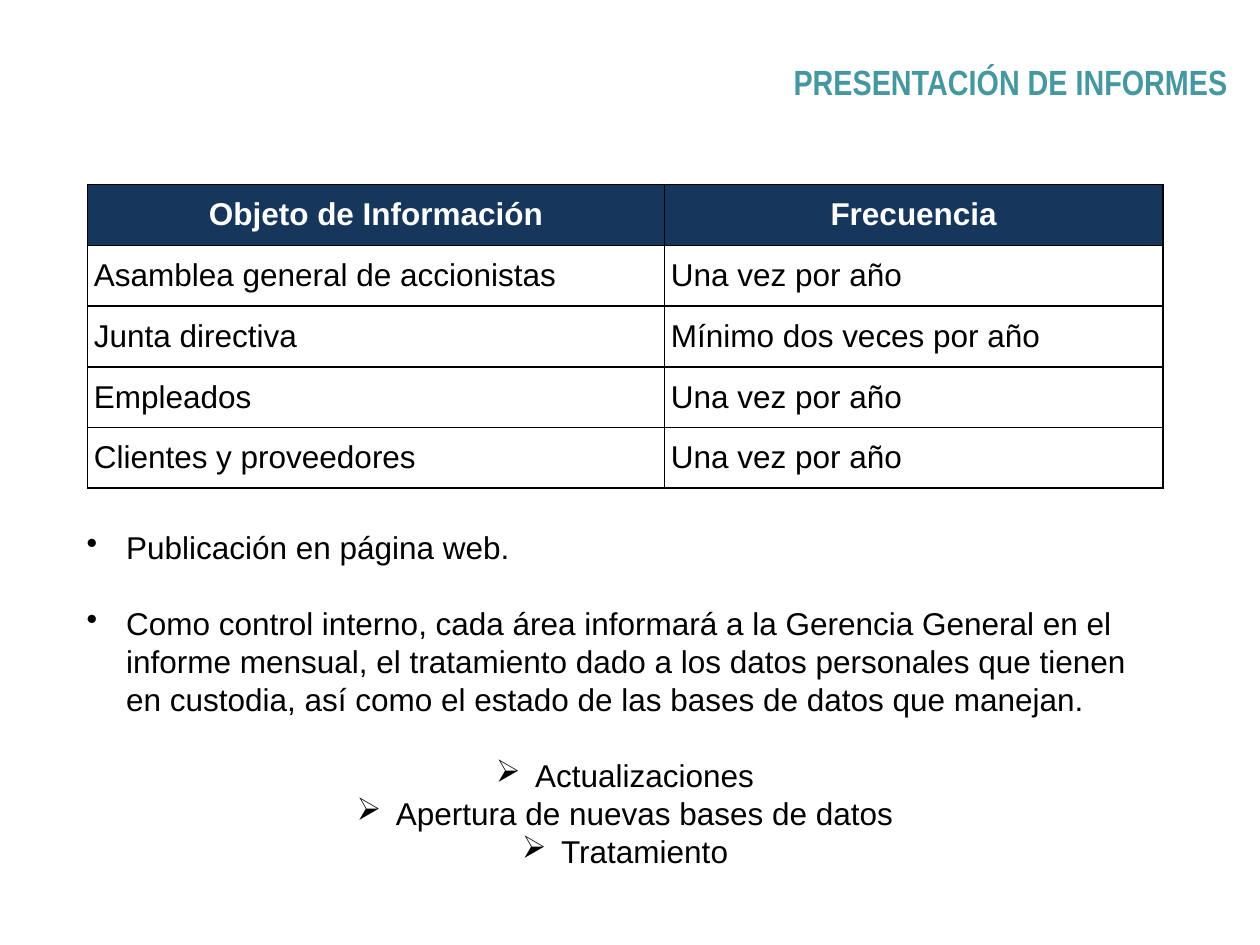
from dataclasses import dataclass

from lxml.etree import SubElement
from pptx import Presentation
from pptx.dml.color import RGBColor
from pptx.enum.text import MSO_ANCHOR, PP_ALIGN
from pptx.oxml.ns import qn
from pptx.slide import Slide
from pptx.table import _Cell
from pptx.text.text import Font, _Paragraph
from pptx.util import Pt


@dataclass(frozen=True)
class Theme:
    heading_font: str = "Arial Narrow"
    body_font: str = "Arial"
    heading_size: float = 20
    body_size: float = 18
    line_pitch: float = 21.7
    teal: str = "4597A0"
    navy: str = "16365C"
    white: str = "FFFFFF"
    black: str = "000000"


@dataclass(frozen=True)
class Bullet:
    text: str
    mark: str = "•"
    align: PP_ALIGN = PP_ALIGN.LEFT
    opens_group: bool = False


THEME = Theme()
HEADING = "PRESENTACIÓN DE INFORMES"
REPORTS = [
    ("Objeto de Información", "Frecuencia"),
    ("Asamblea general de accionistas", "Una vez por año"),
    ("Junta directiva", "Mínimo dos veces por año"),
    ("Empleados", "Una vez por año"),
    ("Clientes y proveedores", "Una vez por año"),
]
COLUMN_WIDTHS = (329.75, 284.75)
ROW_HEIGHT = 34.7
NOTES = [
    Bullet("Publicación en página web."),
    Bullet(
        "Como control interno, cada área informará a la Gerencia General en el "
        "informe mensual, el tratamiento dado a los datos personales que tienen "
        "en custodia, así como el estado de las bases de datos que manejan.",
        opens_group=True,
    ),
    Bullet("Actualizaciones", "➢", PP_ALIGN.CENTER, opens_group=True),
    Bullet("Apertura de nuevas bases de datos", "➢", PP_ALIGN.CENTER),
    Bullet("Tratamiento", "➢", PP_ALIGN.CENTER),
]


def style_font(font: Font, name: str, size: float, color: str, bold: bool = False) -> None:
    font.name = name
    font.size = Pt(size)
    font.bold = bold
    font.color.rgb = RGBColor.from_string(color)


def add_heading(slide: Slide) -> None:
    heading = slide.shapes.title
    heading.left, heading.top = Pt(444.3), Pt(31)
    heading.width, heading.height = Pt(266.4), Pt(31.5)
    frame = heading.text_frame
    frame.text = HEADING
    frame.word_wrap = False
    frame.vertical_anchor = MSO_ANCHOR.TOP
    line = frame.paragraphs[0]
    line.alignment = PP_ALIGN.CENTER
    style_font(line.font, THEME.heading_font, THEME.heading_size, THEME.teal, bold=True)


def add_borders(cell: _Cell) -> None:
    """Put a thin line on all four sides; call before the cell's fill is set."""
    properties = cell._tc.get_or_add_tcPr()
    for side in ("a:lnL", "a:lnR", "a:lnT", "a:lnB"):
        line = SubElement(properties, qn(side), w=str(Pt(1)))
        fill = SubElement(line, qn("a:solidFill"))
        SubElement(fill, qn("a:srgbClr"), val=THEME.black)


def fill_cell(cell: _Cell, text: str, is_header: bool) -> None:
    cell.text = text
    cell.vertical_anchor = MSO_ANCHOR.MIDDLE
    cell.margin_left = cell.margin_right = Pt(3.6)
    cell.margin_top = cell.margin_bottom = Pt(0)
    add_borders(cell)
    line = cell.text_frame.paragraphs[0]
    if is_header:
        cell.fill.solid()
        cell.fill.fore_color.rgb = RGBColor.from_string(THEME.navy)
        line.alignment = PP_ALIGN.CENTER
    else:
        cell.fill.background()
    color = THEME.white if is_header else THEME.black
    style_font(line.font, THEME.body_font, THEME.body_size, color, bold=is_header)


def add_report_table(slide: Slide) -> None:
    reports = slide.shapes.add_table(
        len(REPORTS), len(COLUMN_WIDTHS), Pt(50), Pt(105.5),
        Pt(sum(COLUMN_WIDTHS)), Pt(ROW_HEIGHT * len(REPORTS)),
    ).table
    for column, width in zip(reports.columns, COLUMN_WIDTHS):
        column.width = Pt(width)
    for row_index, texts in enumerate(REPORTS):
        reports.rows[row_index].height = Pt(ROW_HEIGHT)
        for column_index, text in enumerate(texts):
            fill_cell(reports.cell(row_index, column_index), text, row_index == 0)


def write_bullet(line: _Paragraph, bullet: Bullet) -> None:
    line.text = bullet.text
    line.alignment = bullet.align
    line.line_spacing = Pt(THEME.line_pitch)
    if bullet.opens_group:
        line.space_before = Pt(THEME.line_pitch)
    style_font(line.font, THEME.body_font, THEME.body_size, THEME.black)
    properties = line._p.get_or_add_pPr()
    indent = Pt(22.5)
    properties.set("marL", str(indent))
    properties.set("indent", str(-indent))
    mark = properties.makeelement(qn("a:buChar"), {"char": bullet.mark})
    properties.find(qn("a:defRPr")).addprevious(mark)


def add_notes(slide: Slide) -> None:
    frame = slide.shapes.add_textbox(Pt(42.5), Pt(298), Pt(629.3), Pt(203.8)).text_frame
    frame.word_wrap = True
    for index, bullet in enumerate(NOTES):
        line = frame.add_paragraph() if index else frame.paragraphs[0]
        write_bullet(line, bullet)


def main() -> None:
    presentation = Presentation()
    presentation.slide_width, presentation.slide_height = Pt(720), Pt(540)
    slide = presentation.slides.add_slide(presentation.slide_layouts[5])
    add_heading(slide)
    add_report_table(slide)
    add_notes(slide)
    presentation.save("out.pptx")


if __name__ == "__main__":
    main()
